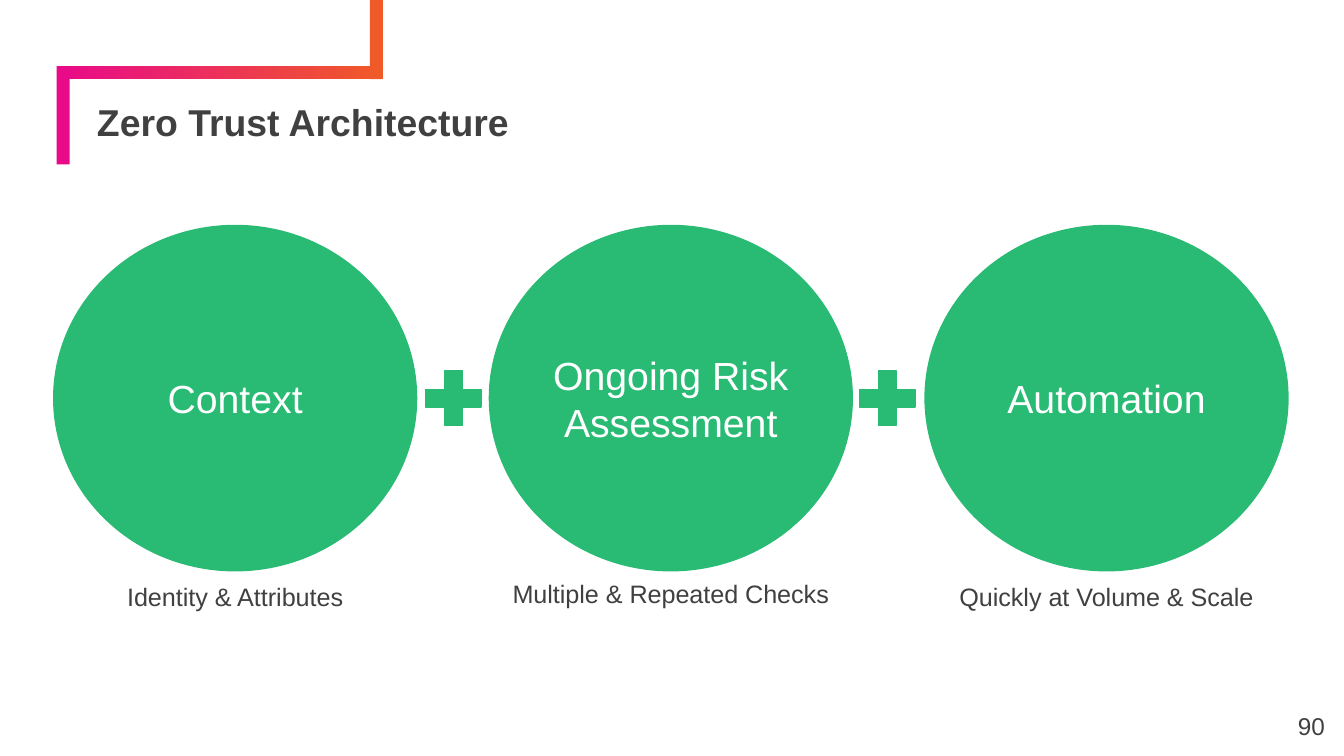
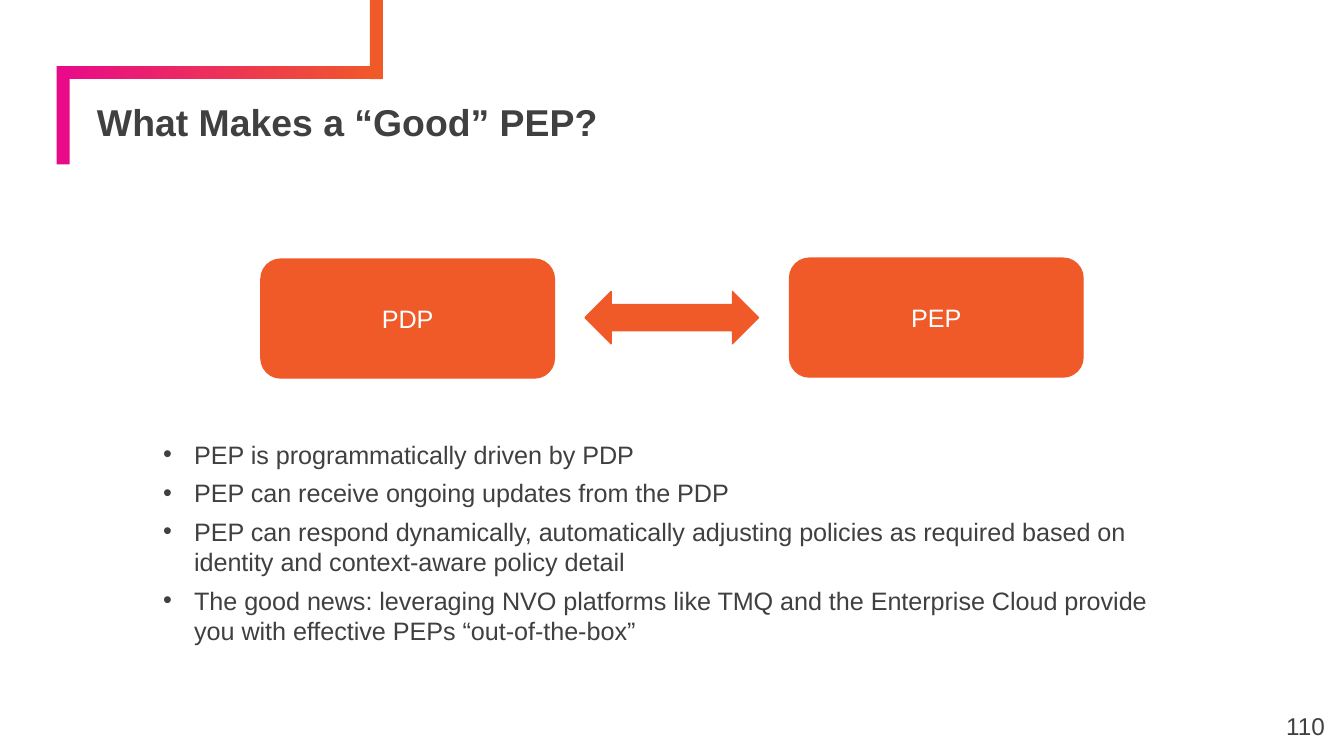
from lxml import etree
from pptx import Presentation
from pptx.dml.color import RGBColor
from pptx.enum.shapes import MSO_SHAPE
from pptx.enum.text import MSO_ANCHOR, PP_ALIGN
from pptx.oxml.ns import qn
from pptx.util import Pt

RECTANGLE = MSO_SHAPE.RECTANGLE
ROUNDED_RECTANGLE = MSO_SHAPE.ROUNDED_RECTANGLE
ELLIPSE = MSO_SHAPE.OVAL
PLUS = MSO_SHAPE.MATH_PLUS
DOUBLE_ARROW = MSO_SHAPE.LEFT_RIGHT_ARROW
LEFT, CENTER, RIGHT = PP_ALIGN.LEFT, PP_ALIGN.CENTER, PP_ALIGN.RIGHT
TOP, MIDDLE, BOTTOM = MSO_ANCHOR.TOP, MSO_ANCHOR.MIDDLE, MSO_ANCHOR.BOTTOM

FONT = "Arial"
DARK = RGBColor(0x40, 0x40, 0x40)
WHITE = RGBColor(0xFF, 0xFF, 0xFF)
GREEN = RGBColor(0x29, 0xBA, 0x74)
ORANGE = RGBColor(0xF0, 0x5A, 0x28)
PINK = RGBColor(0xE8, 0x0A, 0x89)

BODY_SIZE = 13.5
INSETS = (5.4, 2.7)
BAND = 7
BAND_LEFT, BAND_TOP, BAND_WIDTH = 30.4, 35.4, 174.8

CIRCLE_LEFT, CIRCLE_TOP = 28.8, 120.8
CIRCLE_WIDTH, CIRCLE_HEIGHT = 194.4, 185
CIRCLE_STEP = 233.4
PLUS_SIZE = 40.3

CIRCLES = [
    ("Context", "Identity & Attributes", 134, 306),
    ("Ongoing Risk Assessment", "Multiple & Repeated Checks", 172.8, 304),
    ("Automation", "Quickly at Volume & Scale", 172.8, 306),
]
PEP_QUALITIES = [
    "PEP is programmatically driven by PDP",
    "PEP can receive ongoing updates from the PDP",
    "PEP can respond dynamically, automatically adjusting policies as required "
    "based on identity and context-aware policy detail",
    "The good news: leveraging NVO platforms like TMQ and the Enterprise Cloud "
    "provide you with effective PEPs “out-of-the-box”",
]


def add_bullet(paragraph):
    """Give a second-level paragraph a hanging round bullet."""
    paragraph.level = 1
    properties = paragraph._p.get_or_add_pPr()
    properties.set("marL", str(Pt(23)))
    properties.set("indent", str(Pt(-16.6)))
    etree.SubElement(properties, qn("a:buFont")).set("typeface", FONT)
    etree.SubElement(properties, qn("a:buChar")).set("char", "•")


def write_text(shape, lines, size=BODY_SIZE, color=DARK, bold=False, align=LEFT,
               anchor=TOP, insets=INSETS, wrap=True, bullets=False,
               space_after=0, line_spacing=1.0):
    """Write one paragraph for each line into the shape."""
    frame = shape.text_frame
    frame.word_wrap = wrap
    frame.vertical_anchor = anchor
    frame.margin_left = frame.margin_right = Pt(insets[0])
    frame.margin_top = frame.margin_bottom = Pt(insets[1])
    for index, line in enumerate(lines):
        paragraph = frame.add_paragraph() if index else frame.paragraphs[0]
        paragraph.alignment = align
        paragraph.line_spacing = line_spacing
        paragraph.space_after = Pt(space_after)
        if bullets:
            add_bullet(paragraph)
        run = paragraph.add_run()
        run.text = line
        run.font.name = FONT
        run.font.size = Pt(size)
        run.font.bold = bold
        run.font.color.rgb = color


def add_text(slide, lines, left, top, width, height, **text_format):
    """Add a text box with formatted lines."""
    box = slide.shapes.add_textbox(Pt(left), Pt(top), Pt(width), Pt(height))
    write_text(box, lines, **text_format)


def add_block(slide, kind, color, left, top, width, height, outlined=True):
    """Add a flat shape in one colour."""
    shape = slide.shapes.add_shape(kind, Pt(left), Pt(top), Pt(width), Pt(height))
    shape.shadow.inherit = False
    shape.fill.solid()
    shape.fill.fore_color.rgb = color
    if outlined:
        shape.line.color.rgb = color
        shape.line.width = Pt(0.75)
    else:
        shape.line.fill.background()
    return shape


def add_labelled_block(slide, kind, color, label, size, *bounds):
    """Add a flat shape with a centred white label."""
    shape = add_block(slide, kind, color, *bounds)
    write_text(shape, [label], size=size, color=WHITE, align=CENTER, anchor=MIDDLE)


def add_title_band(slide):
    """Draw the stepped band from the top edge down to the title."""
    bar = add_block(slide, RECTANGLE, PINK, BAND_LEFT, BAND_TOP, BAND_WIDTH, BAND,
                    outlined=False)
    bar.fill.gradient()
    bar.fill.gradient_angle = 0
    for stop, color, position in zip(bar.fill.gradient_stops, (PINK, ORANGE), (0, 1)):
        stop.color.rgb = color
        stop.position = position
    add_block(slide, RECTANGLE, PINK, BAND_LEFT, BAND_TOP, BAND, 52.7, outlined=False)
    add_block(slide, RECTANGLE, ORANGE, BAND_LEFT + BAND_WIDTH - BAND, 0,
              BAND, BAND_TOP + BAND, outlined=False)


def add_slide(presentation, title, number):
    """Add a blank slide with the band, title and page number."""
    slide = presentation.slides.add_slide(presentation.slide_layouts[6])
    add_title_band(slide)
    add_text(slide, [title], 48.4, 56.6, 650.2, 24.5, size=20, bold=True,
             anchor=BOTTOM, insets=(3.6, 3.6), line_spacing=0.9)
    add_text(slide, [str(number)], 673.6, 373.7, 43.2, 31, size=13, align=RIGHT,
             insets=(7.2, 7.2))
    return slide


def build_architecture(presentation):
    """Build the slide with three circles joined by plus signs."""
    slide = add_slide(presentation, "Zero Trust Architecture", 90)
    for index, (label, caption, caption_width, caption_top) in enumerate(CIRCLES):
        left = CIRCLE_LEFT + index * CIRCLE_STEP
        add_labelled_block(slide, ELLIPSE, GREEN, label, 21,
                           left, CIRCLE_TOP, CIRCLE_WIDTH, CIRCLE_HEIGHT)
        add_text(slide, [caption], left + (CIRCLE_WIDTH - caption_width) / 2,
                 caption_top, caption_width, 27.4, align=CENTER, anchor=MIDDLE,
                 insets=(0, 2.7), wrap=False)
    plus_top = CIRCLE_TOP + (CIRCLE_HEIGHT - PLUS_SIZE) / 2
    for index in range(len(CIRCLES) - 1):
        add_block(slide, PLUS, GREEN, 222.8 + index * 232.4, plus_top,
                  PLUS_SIZE, PLUS_SIZE)


def build_good_pep(presentation):
    """Build the slide on the PDP and PEP exchange."""
    slide = add_slide(presentation, "What Makes a “Good” PEP?", 110)
    for label, left, top in (("PDP", 139.8, 138.8), ("PEP", 423, 138.3)):
        add_labelled_block(slide, ROUNDED_RECTANGLE, ORANGE, label, BODY_SIZE,
                           left, top, 157.2, 63.7)
    add_block(slide, DOUBLE_ARROW, ORANGE, 313.4, 156.2, 93, 28)
    add_text(slide, PEP_QUALITIES, 81, 235.2, 558, 116, insets=(0, 0),
             bullets=True, space_after=4.5)


def main():
    """Build and save the presentation."""
    presentation = Presentation()
    presentation.slide_width = Pt(720)
    presentation.slide_height = Pt(405)
    build_architecture(presentation)
    build_good_pep(presentation)
    presentation.save("out.pptx")


if __name__ == "__main__":
    main()
